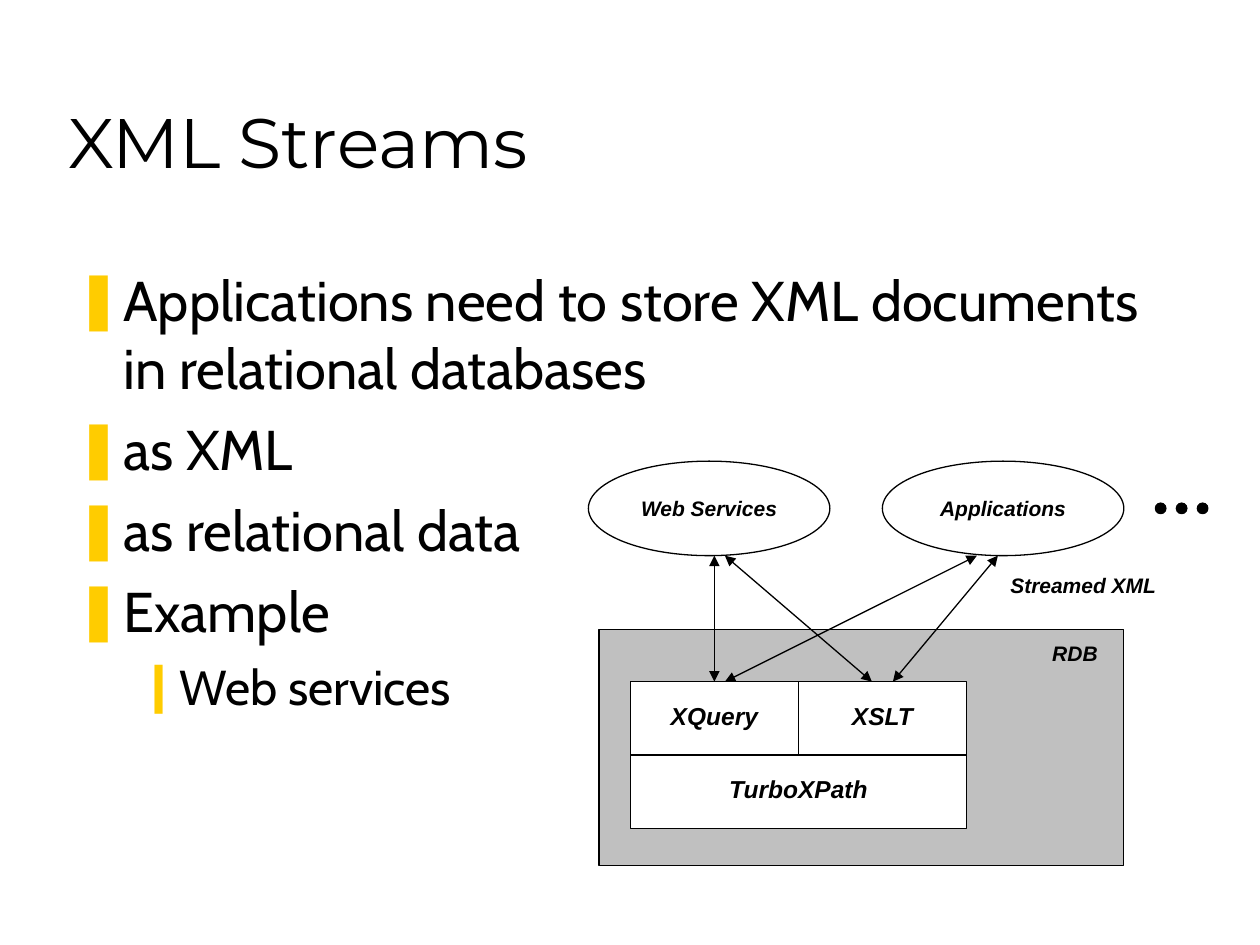
"""Build the XML Streams slide."""
from lxml import etree
from pptx import Presentation
from pptx import util as u
from pptx.dml.color import RGBColor
from pptx.enum import shapes, text
from pptx.oxml import ns

TITLE = "XML Streams"
BULLETS = [
    ("Applications need to store XML documents in relational databases", 0),
    ("as XML", 0),
    ("as relational data", 0),
    ("Example", 0),
    ("Web services", 1),
]
LEVELS = [
    {"size": 32, "before": 8, "bullet": "❚", "left": 0.38, "hanging": 0.38},
    {"size": 28, "before": 7, "bullet": "❙", "left": 0.81, "hanging": 0.31},
]
BLACK, WHITE, GREY, YELLOW = "000000", "FFFFFF", "C0C0C0", "FFCC00"

CELL, GRID_LEFT, GRID_TOP = 1 / 12, 4.67, 3.66
DATABASE = (1, 16, 50, 22.5)
ENGINES = [
    ("TurboXPath", (4, 28, 32, 7)),
    ("XQuery", (4, 21, 16, 7)),
    ("XSLT", (20, 21, 16, 7)),
]
CLIENTS = [("Web Services", (0, 0, 23, 9)), ("Applications", (28, 0, 23, 9))]
LABELS = [("Streamed XML", (39, 10, 16.5, 3.6)), ("RDB", (43, 16.5, 7.5, 3.6))]
DOTS = [(column, 4, 1, 1) for column in (54, 56, 58)]
CLIENT_BOTTOM, ENGINE_TOP = 9, 21
STREAMS = [(12, 12, "XQuery"), (39, 29, None), (37, 13, None), (13, 27, None)]


def color(value):
    """Return the colour for a hex string."""
    return RGBColor.from_string(value)


def grid_x(column):
    """Return the horizontal place of a grid column."""
    return u.Inches(GRID_LEFT + column * CELL)


def grid_y(row):
    """Return the vertical place of a grid row."""
    return u.Inches(GRID_TOP + row * CELL)


def grid_box(column, row, columns, rows):
    """Return left, top, width and height of a grid area."""
    return grid_x(column), grid_y(row), u.Inches(columns * CELL), u.Inches(rows * CELL)


def write(paragraph, content, size, font="Arial", emphasis=False, align=None, spacing=None):
    """Write formatted text into a paragraph."""
    run = paragraph.add_run()
    run.text = content
    run.font.name, run.font.size = font, u.Pt(size)
    run.font.bold = run.font.italic = emphasis
    run.font.color.rgb = color(BLACK)
    paragraph.alignment = align
    paragraph.line_spacing = spacing


def add_bullet(paragraph, level):
    """Give a paragraph the bullet and indents of its level."""
    style = LEVELS[level]
    paragraph.level = level
    paragraph.space_before = u.Pt(style["before"])
    properties = paragraph._p.get_or_add_pPr()
    properties.set("marL", str(u.Inches(style["left"])))
    properties.set("indent", str(-u.Inches(style["hanging"])))
    bullet_color = etree.SubElement(properties, ns.qn("a:buClr"))
    etree.SubElement(bullet_color, ns.qn("a:srgbClr"), val=YELLOW)
    etree.SubElement(properties, ns.qn("a:buChar"), char=style["bullet"])


def add_box(group, kind, area, fill, content=None, size=12, spacing=None):
    """Add an outlined shape with optional centred text."""
    shape = group.shapes.add_shape(kind, *grid_box(*area))
    shape.shadow.inherit = False
    shape.fill.solid()
    shape.fill.fore_color.rgb = color(fill)
    shape.line.color.rgb = color(BLACK)
    shape.line.width = u.Pt(0.75)
    if content:
        frame = shape.text_frame
        frame.word_wrap = False
        frame.vertical_anchor = text.MSO_ANCHOR.MIDDLE
        write(frame.paragraphs[0], content, size, emphasis=True,
              align=text.PP_ALIGN.CENTER, spacing=spacing)
    return shape


def add_label(group, content, area):
    """Add a free-standing diagram label."""
    frame = group.shapes.add_textbox(*grid_box(*area)).text_frame
    frame.word_wrap = False
    write(frame.paragraphs[0], content, 12, emphasis=True, align=text.PP_ALIGN.LEFT)


def add_stream(group, start, end, target):
    """Add a two-headed arrow from a client to an engine."""
    connector = group.shapes.add_connector(
        shapes.MSO_CONNECTOR.STRAIGHT,
        grid_x(start), grid_y(CLIENT_BOTTOM), grid_x(end), grid_y(ENGINE_TOP))
    if target:
        connector.end_connect(target, 0)
    connector.line.color.rgb = color(BLACK)
    connector.line.width = u.Pt(0.75)
    line = connector.line._get_or_add_ln()
    for tag in ("a:headEnd", "a:tailEnd"):
        etree.SubElement(line, ns.qn(tag), type="triangle")
    etree.SubElement(connector._element.spPr, ns.qn("a:effectLst"))


def place(placeholder, left, top, width, height, anchor):
    """Move a placeholder and return its text frame."""
    placeholder.left, placeholder.top = u.Inches(left), u.Inches(top)
    placeholder.width, placeholder.height = u.Inches(width), u.Inches(height)
    frame = placeholder.text_frame
    frame.word_wrap = True
    frame.auto_size = text.MSO_AUTO_SIZE.NONE
    frame.vertical_anchor = anchor
    return frame


def add_diagram(slide):
    """Draw the clients, the database and the streams between them."""
    rectangle, oval = shapes.MSO_SHAPE.RECTANGLE, shapes.MSO_SHAPE.OVAL
    group = slide.shapes.add_group_shape()
    add_box(group, rectangle, DATABASE, GREY)
    engines = {name: add_box(group, rectangle, area, WHITE, name, size=14, spacing=0.8)
               for name, area in ENGINES}
    for content, area in LABELS:
        add_label(group, content, area)
    for name, area in CLIENTS:
        add_box(group, oval, area, WHITE, name)
    for start, end, target in STREAMS:
        add_stream(group, start, end, engines.get(target))
    for area in DOTS:
        add_box(group, oval, area, BLACK)


def main():
    """Build the slide and save it."""
    presentation = Presentation()
    presentation.slide_width, presentation.slide_height = u.Inches(10), u.Inches(7.5)
    slide = presentation.slides.add_slide(presentation.slide_layouts[1])

    title = place(slide.shapes.title, 0.44, 0.25, 8.5, 1.25, text.MSO_ANCHOR.BOTTOM)
    write(title.paragraphs[0], TITLE, 40, font="Montserrat", align=text.PP_ALIGN.LEFT)

    body = place(slide.placeholders[1], 0.5, 2.06, 8.94, 4.56, text.MSO_ANCHOR.TOP)
    for index, (content, level) in enumerate(BULLETS):
        paragraph = body.add_paragraph() if index else body.paragraphs[0]
        write(paragraph, content, LEVELS[level]["size"], font="Cabin")
        add_bullet(paragraph, level)

    add_diagram(slide)
    presentation.save("out.pptx")


if __name__ == "__main__":
    main()
